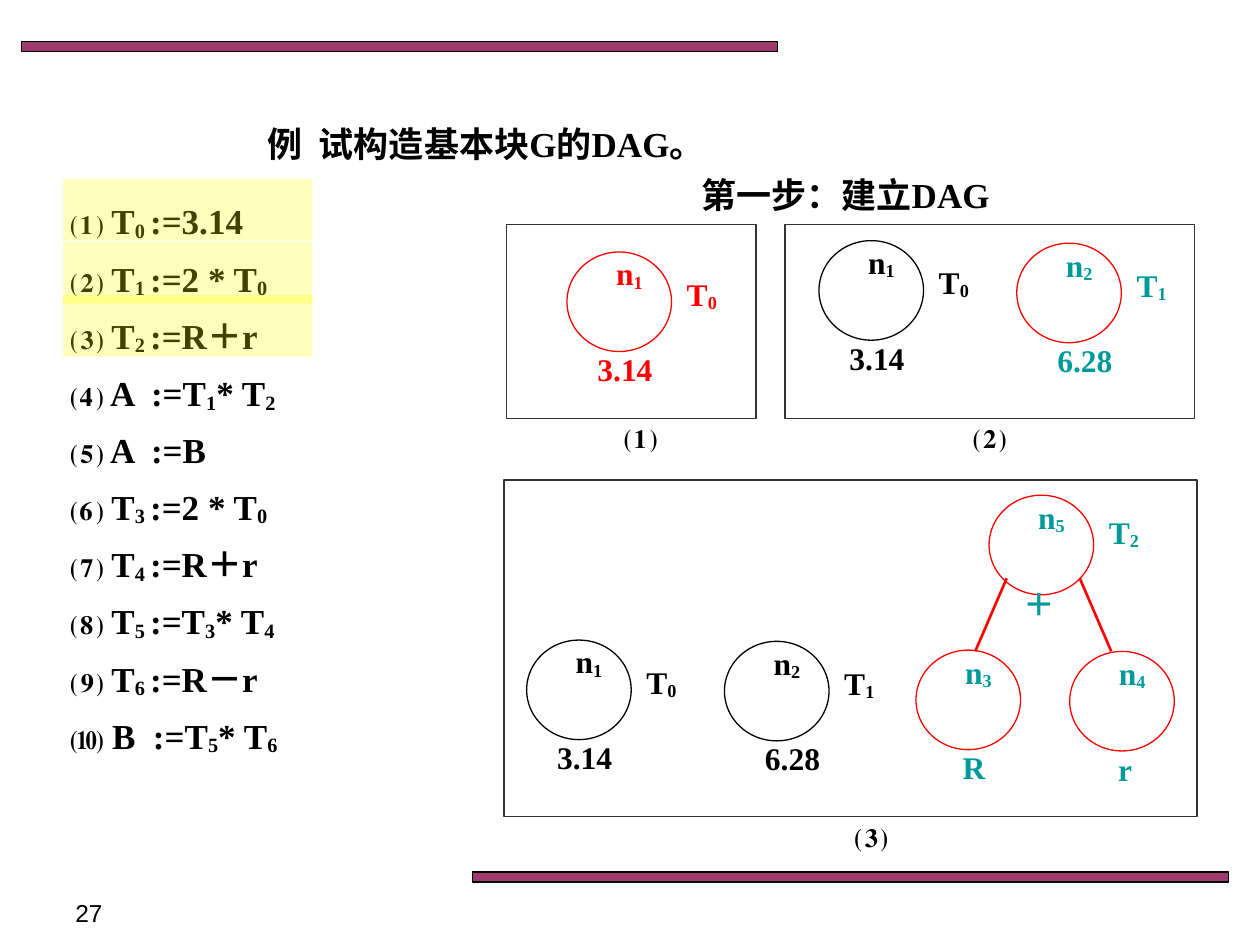
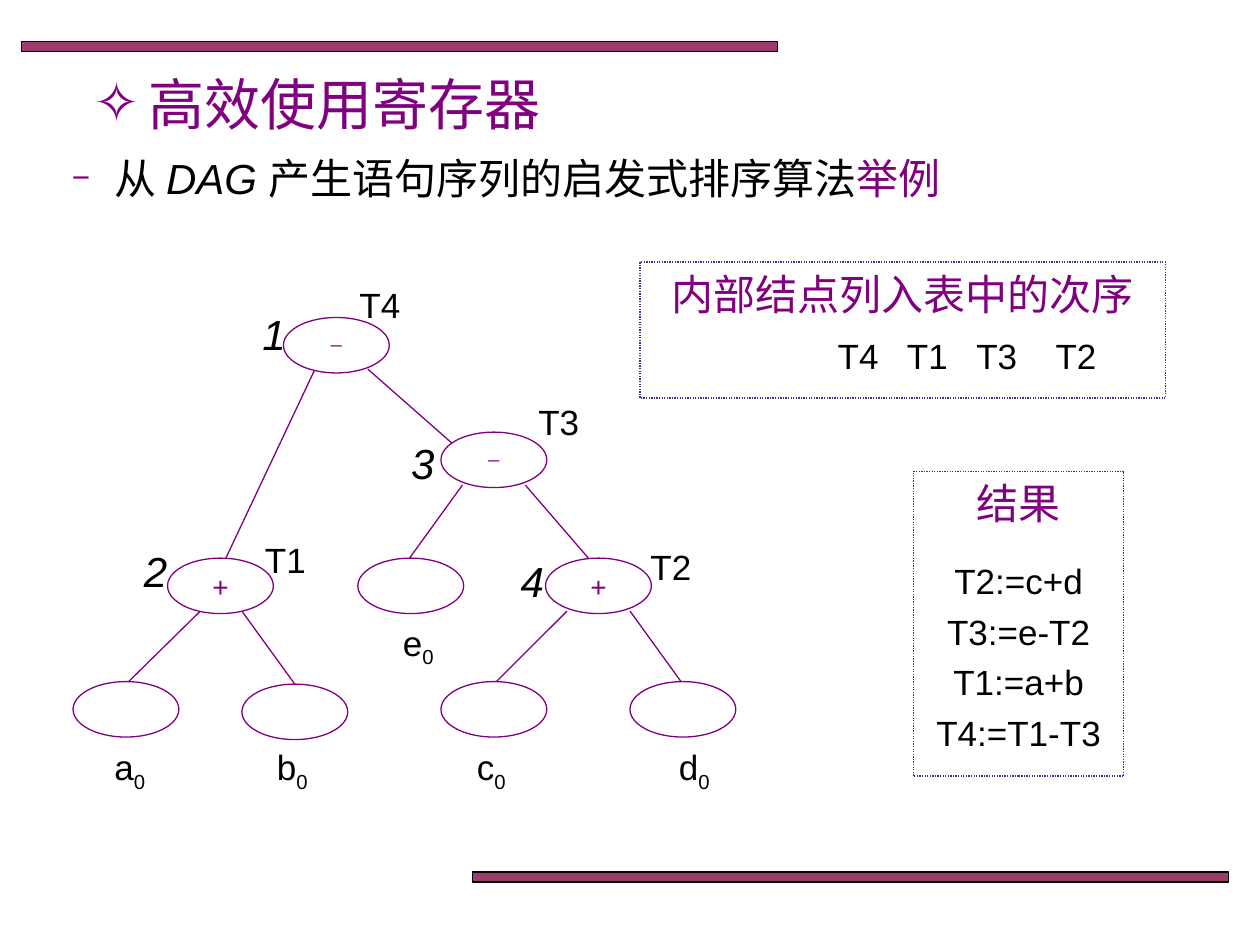
from dataclasses import dataclass, replace
from typing import Optional

from lxml.etree import SubElement
from pptx import Presentation
from pptx.dml.color import RGBColor
from pptx.enum.dml import MSO_LINE
from pptx.enum.shapes import MSO_CONNECTOR, MSO_SHAPE
from pptx.enum.text import MSO_ANCHOR, MSO_AUTO_SIZE, PP_ALIGN
from pptx.oxml import parse_xml
from pptx.oxml.ns import nsdecls, qn
from pptx.util import Inches, Pt

BLACK, WHITE, RED, TEAL = "000000", "FFFFFF", "FF0000", "009999"
PURPLE, PLUM, YELLOW, GREY, NAVY = "800080", "993366", "FFFF00", "333333", "333399"


@dataclass(frozen=True)
class Style:
    size: float
    color: str = BLACK
    name: str = "Arial"
    bold: bool = False
    italic: bool = False
    sub: int = -25  # subscript offset in percent


@dataclass
class DagNode:
    x: float
    y: float
    name: str
    value: str
    side: str = ""
    line: str = BLACK
    ink: str = BLACK
    value_dx: float = 0
    value_dy: float = 0.73
    side_dy: float = 0.13


@dataclass
class TreeNode:
    x: float
    y: float
    label: str
    label_at: tuple[float, float]
    op: str = ""
    order: str = ""
    order_at: tuple[float, float] = (0, 0)


SERIF = Style(20, name="Times New Roman", bold=True, sub=-10)
SANS = Style(20)


# Shared helpers
def rgb(color: str) -> RGBColor:
    return RGBColor.from_string(color)


def set_font(font, style: Style) -> None:
    font.size, font.name = Pt(style.size), style.name
    font.bold, font.italic = style.bold, style.italic
    font.color.rgb = rgb(style.color)


def write(p, text: str, style: Style, align=PP_ALIGN.CENTER) -> None:
    """Fill a paragraph; parts between bars are subscripts."""
    p.alignment = align
    set_font(p.font, style)
    for i, part in enumerate(text.split("|")):
        if part:
            r = p.add_run()
            r.text = part
            if i % 2:
                r._r.get_or_add_rPr().set("baseline", str(style.sub * 1000))


def add_ppr(p, xml: str) -> None:
    pPr = p._p.get_or_add_pPr()
    pPr.insert_element_before(parse_xml(xml.replace(" ", f" {nsdecls('a')} ", 1)), "a:defRPr")


def set_indent(p, left: float, first: float) -> None:
    pPr = p._p.get_or_add_pPr()
    pPr.set("marL", str(Inches(left)))
    pPr.set("indent", str(Inches(first)))


def set_bullet(p, char: str, left: float, first: float, percent: int = 100) -> None:
    set_indent(p, left, first)
    add_ppr(p, f'<a:buClr ><a:srgbClr val="{PURPLE}"/></a:buClr>')
    add_ppr(p, f'<a:buSzPct val="{percent * 1000}"/>')
    add_ppr(p, '<a:buFont typeface="Arial"/>')
    add_ppr(p, f'<a:buChar char="{char}"/>')


def place(ph, x: float, y: float, w: float, h: float):
    """Move a placeholder and return its text frame, set from the top."""
    ph.left, ph.top, ph.width, ph.height = map(Inches, (x, y, w, h))
    tf = ph.text_frame
    tf.auto_size, tf.vertical_anchor = MSO_AUTO_SIZE.NONE, MSO_ANCHOR.TOP
    return tf


def add_text(s, x: float, y: float, w: float, h: float, text: str, style: Style,
             align=PP_ALIGN.CENTER, wrap: bool = True, pad: float = 0.05) -> None:
    tf = s.shapes.add_textbox(*map(Inches, (x, y, w, h))).text_frame
    tf.word_wrap = wrap
    tf.margin_top = tf.margin_bottom = Inches(pad)
    write(tf.paragraphs[0], text, style, align)


def add_box(s, x: float, y: float, w: float, h: float, kind=MSO_SHAPE.RECTANGLE,
            fill: Optional[str] = None, line: Optional[str] = None, alpha: int = 100):
    sp = s.shapes.add_shape(kind, *map(Inches, (x, y, w, h)))
    sp.shadow.inherit = False
    if fill:
        sp.fill.solid()
        sp.fill.fore_color.rgb = rgb(fill)
        if alpha < 100:
            clr = next(sp.element.iter(qn("a:srgbClr")))
            SubElement(clr, qn("a:alpha"), val=str(alpha * 1000))
    else:
        sp.fill.background()
    if line:
        sp.line.color.rgb, sp.line.width = rgb(line), Pt(0.75)
    else:
        sp.line.fill.background()
    return sp


def add_line(s, x1: float, y1: float, x2: float, y2: float, color: str, width: float) -> None:
    cx = s.shapes.add_connector(MSO_CONNECTOR.STRAIGHT, *map(Inches, (x1, y1, x2, y2)))
    cx.line.color.rgb, cx.line.width = rgb(color), Pt(width)
    SubElement(cx.element.spPr, qn("a:effectLst"))


def move_bands_to_master(prs, s) -> None:
    for i, (x, y) in enumerate([(0.17, 0.33), (3.75, 6.92)]):
        band = add_box(s, x, y, 6, 0.08, fill=PLUM, line=BLACK, alpha=96)
        band.element.nvSpPr.cNvPr.id = 100 + i
        prs.slide_master.shapes.element.append(band.element)


# Slide 1: building the DAG
STATEMENTS = [
    "⑴ T|0 |:=3.14", "⑵ T|1 |:=2 * T|0|", "⑶ T|2 |:=R＋r", "⑷ A  :=T|1|* T|2|",
    "⑸ A  :=B", "⑹ T|3 |:=2 * T|0|", "⑺ T|4 |:=R＋r", "⑻ T|5 |:=T|3|* T|4|",
    "⑼ T|6 |:=R－r", "⑽ B  :=T|5|* T|6|",
]
FRAMES = [  # left, top, width, height, caption, caption left, caption top
    (4.02, 1.78, 1.98, 1.54, "⑴", 4.75, 3.23),
    (6.23, 1.78, 3.25, 1.54, "⑵", 7.52, 3.23),
    (4, 3.81, 5.5, 2.67, "⑶", 6.58, 6.4),
]
DAG_NODES = [
    DagNode(4.5, 2, "n|1|", "3.14", "T|0|", RED, RED),
    DagNode(6.5, 1.91, "n|1|", "3.14", "T|0|"),
    DagNode(8.07, 1.93, "n|2|", "6.28", "T|1|", RED, TEAL, value_dx=0.08),
    DagNode(4.18, 5.08, "n|1|", "3.14", "T|0|"),
    DagNode(5.75, 5.09, "n|2|", "6.28", "T|1|", value_dx=0.08),
    DagNode(7.27, 5.16, "n|3|", "R", "", RED, TEAL),
    DagNode(8.49, 5.17, "n|4|", "r", "", RED, TEAL, value_dx=-0.02),
    DagNode(7.85, 3.93, "n|5|", "＋", "T|2|", RED, TEAL, -0.06, 0.66, 0.09),
]


def add_dag_node(s, n: DagNode) -> None:
    style = replace(SERIF, size=18, color=n.ink)
    add_box(s, n.x, n.y, 0.83, 0.79, MSO_SHAPE.OVAL, line=n.line)
    add_text(s, n.x + 0.11, n.y - 0.03, 0.77, 0.4, n.name, style)
    add_text(s, n.x + n.value_dx, n.y + n.value_dy, 0.92, 0.4, n.value, style)
    if n.side:
        add_text(s, n.x + 0.78, n.y + n.side_dy, 0.58, 0.4, n.side, style)


def build_dag_slide(s) -> None:
    title = place(s.shapes.title, 1.33, 0.92, 5.06, 0.43)
    write(title.paragraphs[0], "例  试构造基本块G的DAG。", SERIF)
    add_text(s, 4, 1.33, 5.42, 0.43, "第一步：建立DAG", SERIF)
    add_text(s, 0.5, 7.08, 2.33, 0.27, "27", Style(14), PP_ALIGN.LEFT)

    # Statement list
    tf = place(s.placeholders[1], 0.46, 1.52, 2.42, 4.51)
    for i, statement in enumerate(STATEMENTS):
        p = tf.add_paragraph() if i else tf.paragraphs[0]
        write(p, statement, SERIF, PP_ALIGN.LEFT)
        p.line_spacing, p.space_before = 1.05, Pt(7.2 if i else 0)
        set_indent(p, 0, 0)
        add_ppr(p, "<a:buNone />")

    # Three stages of the graph
    for x, y, w, h, caption, cap_x, cap_y in FRAMES:
        add_box(s, x, y, w, h, line=GREY)
        add_text(s, cap_x, cap_y, 0.67, 0.43, caption, SERIF)
    for node in DAG_NODES:
        add_dag_node(s, node)
    add_line(s, 7.99, 4.59, 7.74, 5.17, RED, 1.5)
    add_line(s, 8.57, 4.59, 8.82, 5.17, RED, 1.5)

    # Highlights over the first three statements
    for y in (1.42, 1.92, 2.34):
        add_box(s, 0.5, y, 1.98, 0.49, fill=YELLOW, alpha=26)


# Slide 2: ordering heuristic
TREE_NODES = [
    TreeNode(2.25, 2.52, "T4", (2.75, 2.25), "−", "1", (1.98, 2.45)),
    TreeNode(3.5, 3.43, "T3", (4.17, 3.18), "−", "3", (3.16, 3.47)),
    TreeNode(1.33, 4.43, "T1", (2, 4.27), "+", "2", (1.04, 4.33)),
    TreeNode(4.33, 4.43, "T2", (5.06, 4.33), "+", "4", (4.03, 4.41)),
    TreeNode(2.84, 4.43, "e|0|", (3.09, 4.93)),
    TreeNode(0.58, 5.41, "a|0|", (0.8, 5.92)),
    TreeNode(1.92, 5.43, "b|0|", (2.09, 5.92)),
    TreeNode(3.5, 5.41, "c|0|", (3.67, 5.92)),
    TreeNode(5, 5.41, "d|0|", (5.28, 5.92)),
]
TREE_EDGES = [
    (2.5, 2.93, 1.75, 4.52), (2.92, 2.93, 3.59, 3.52),
    (3.67, 3.85, 3.25, 4.43), (4.17, 3.85, 4.67, 4.43),
    (1.59, 4.85, 1, 5.43), (1.92, 4.85, 2.34, 5.43),
    (4.5, 4.85, 3.92, 5.43), (5, 4.85, 5.42, 5.43),
]
OP_STYLES = {"−": Style(14, PURPLE, "Times New Roman"), "+": Style(16, PURPLE)}


def add_tree_node(s, n: TreeNode) -> None:
    sp = add_box(s, n.x, n.y, 0.84, 0.44, MSO_SHAPE.OVAL, WHITE, PURPLE)
    if n.op:
        tf = sp.text_frame
        tf.margin_left = tf.margin_right = Inches(0.06)
        tf.margin_top = tf.margin_bottom = Inches(0.01)
        write(tf.paragraphs[0], n.op, OP_STYLES[n.op])
        add_text(s, *n.order_at, 0.39, 0.32, n.order, Style(24, italic=True), pad=0)
    add_text(s, *n.label_at, 0.53 if n.op else 0.46, 0.27, n.label, SANS, wrap=False, pad=0)


def add_note(s, x: float, y: float, w: float, h: float, heading: str):
    """Draw a dotted box with a heading and return its text frame."""
    sp = add_box(s, x, y, w, h, line=NAVY)
    sp.line.dash_style = MSO_LINE.ROUND_DOT
    tf = sp.text_frame
    tf.vertical_anchor = MSO_ANCHOR.TOP
    write(tf.paragraphs[0], heading, Style(24, PURPLE))
    return tf


def build_order_slide(s) -> None:
    p = place(s.shapes.title, 0.46, 0.5, 4.09, 0.64).paragraphs[0]
    write(p, "高效使用寄存器", Style(32, PURPLE), PP_ALIGN.LEFT)
    set_bullet(p, "✧", 0.62, -0.44)

    p = place(s.placeholders[1], 0.47, 1.16, 8.92, 0.5).paragraphs[0]
    write(p, "从 |DAG |产生语句序列的启发式排序算法|举例", replace(SANS, size=24, sub=0), PP_ALIGN.LEFT)
    p.space_before = Pt(0)
    p.runs[1].font.italic = True
    p.runs[3].font.color.rgb = rgb(PURPLE)
    set_bullet(p, "−", 0.34, -0.34, 75)

    # Tree
    for edge in TREE_EDGES:
        add_line(s, *edge, PURPLE, 0.75)
    for node in TREE_NODES:
        add_tree_node(s, node)

    # Order of the inner nodes, on tab stops
    p = add_note(s, 5.08, 2.08, 4.17, 1.08, "内部结点列入表中的次序").add_paragraph()
    write(p, "\tT4\tT1\tT3\tT2", SANS, PP_ALIGN.LEFT)
    p.space_before = Pt(9)
    stops = "".join(f'<a:tab pos="{Inches(x)}" algn="l"/>' for x in (1.47, 2.02, 2.57, 3.2))
    add_ppr(p, f"<a:tabLst >{stops}</a:tabLst>")

    # Resulting statements
    tf = add_note(s, 7.25, 3.74, 1.67, 2.42, "结果")
    for i, statement in enumerate(["T2:=c+d", "T3:=e-T2", "T1:=a+b", "T4:=T1-T3"]):
        p = tf.add_paragraph()
        write(p, statement, SANS)
        p.space_before = Pt(5 if i else 18)


def main() -> None:
    prs = Presentation()
    prs.slide_width, prs.slide_height = Inches(10), Inches(7.5)
    dag, order = (prs.slides.add_slide(prs.slide_layouts[1]) for _ in range(2))
    move_bands_to_master(prs, dag)
    build_dag_slide(dag)
    build_order_slide(order)
    prs.save("out.pptx")


if __name__ == "__main__":
    main()
